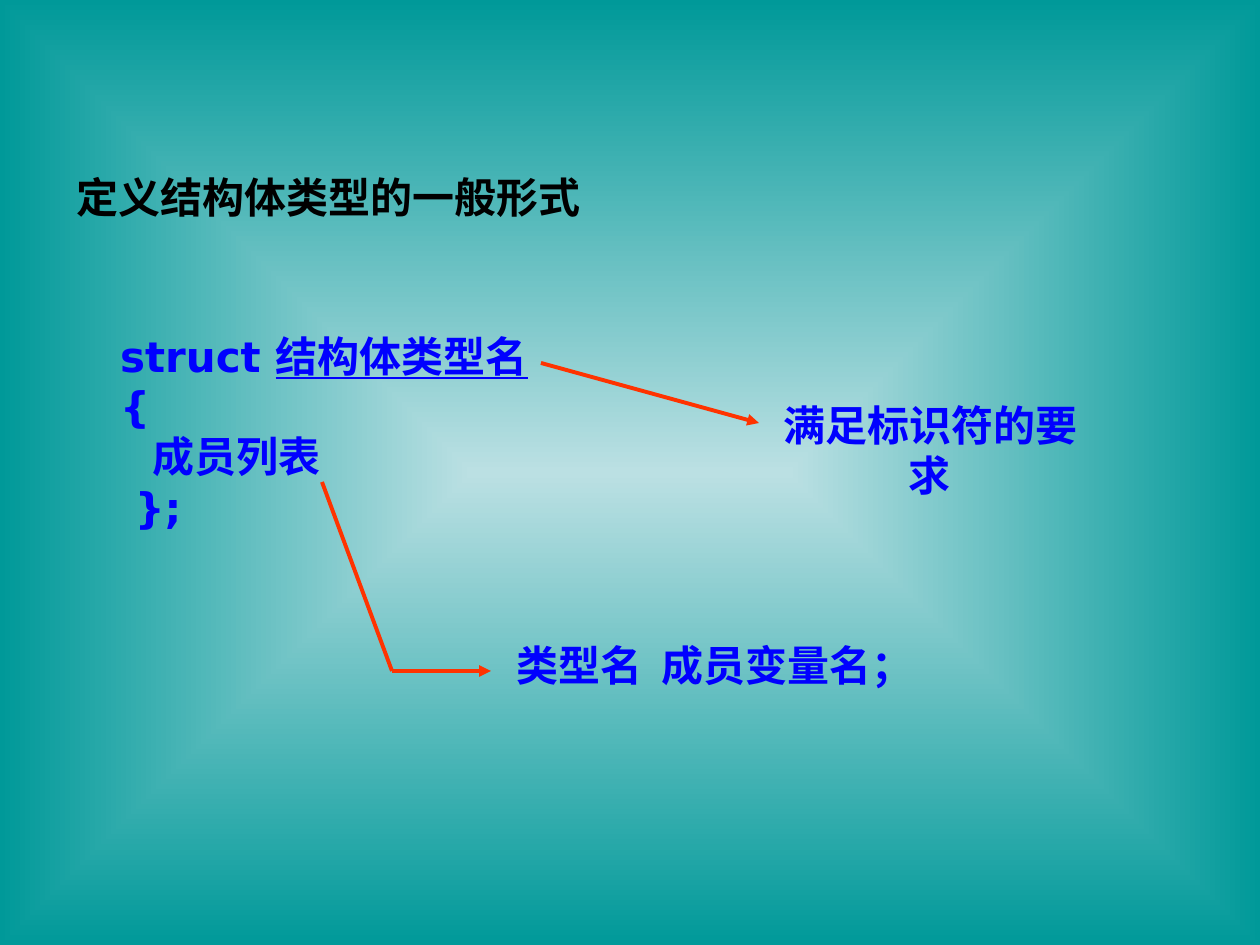
from lxml.etree import SubElement
from pptx import Presentation
from pptx.dml.color import RGBColor
from pptx.enum.shapes import MSO_CONNECTOR as Connector
from pptx.enum.text import MSO_ANCHOR as Anchor, PP_ALIGN as Align
from pptx.oxml.ns import qn
from pptx.util import Emu, Pt

PX_PER_INCH = 126
BLUE = "0000FF"
TEXT_FORMAT = {"name": "DejaVu Sans", "size": Pt(24), "bold": True}


def px(length):
    return Emu(round(length * 914400 / PX_PER_INCH))


def color(value):
    return RGBColor.from_string(value)


def set_background(slide, center, edge):
    fill = slide.background.fill
    fill.gradient()
    for stop, value in zip(fill.gradient_stops, (center, edge)):
        stop.color.rgb = color(value)
    gradient = next(slide.element.iter(qn("a:gradFill")))
    gradient.remove(gradient.find(qn("a:lin")))
    shade = SubElement(gradient, qn("a:path"), {"path": "rect"})
    middle = dict.fromkeys("ltrb", "50000")
    SubElement(shade, qn("a:fillToRect"), middle)


def add_text(slide, box, lines, text_color=BLUE, align=Align.LEFT, **frame_format):
    frame = slide.shapes.add_textbox(*map(px, box)).text_frame
    for name, value in frame_format.items():
        setattr(frame, name, value)
    for index, line in enumerate(lines):
        paragraph = frame.add_paragraph() if index else frame.paragraphs[0]
        paragraph.alignment = align
        for text, underline in line:
            run = paragraph.add_run()
            run.text = text
            run.font.color.rgb = color(text_color)
            for name, value in {**TEXT_FORMAT, "underline": underline}.items():
                setattr(run.font, name, value)


def add_line(shapes, start, end, arrow=True):
    connector = shapes.add_connector(Connector.STRAIGHT, *map(px, start + end))
    connector.line.color.rgb = color("FF3300")
    connector.line.width = Pt(2.25)
    if arrow:
        SubElement(connector.line._get_or_add_ln(), qn("a:tailEnd"), type="triangle")
    SubElement(connector.element.spPr, qn("a:effectLst"))


def main():
    presentation = Presentation()
    presentation.slide_width = px(1260)
    presentation.slide_height = px(945)
    slide = presentation.slides.add_slide(presentation.slide_layouts[6])
    set_background(slide, "BBE0E3", "009999")

    add_text(slide, (64, 165, 1134, 63), [[("定义结构体类型的一般形式", False)]],
             "000000", word_wrap=True, vertical_anchor=Anchor.MIDDLE)
    definition = [
        [("   struct ", False), ("结构体类型名", True)],
        [("   {", False)],
        [("        成员列表", False)],
        [("    };", False)],
    ]
    add_text(slide, (64, 324, 1134, 214), definition, word_wrap=True)

    member_arrow = slide.shapes.add_group_shape().shapes
    corner = (392, 671)
    add_line(member_arrow, (322, 482), corner, arrow=False)
    add_line(member_arrow, corner, (491, 671))
    add_text(slide, (504, 633, 422, 63), [[("类型名  成员变量名；", False)]],
             align=Align.CENTER, word_wrap=False)

    add_line(slide.shapes, (541, 363), (759, 423))
    add_text(slide, (750, 393, 360, 63), [[("满足标识符的要求", False)]],
             align=Align.CENTER, word_wrap=False)

    presentation.save("out.pptx")


if __name__ == "__main__":
    main()
